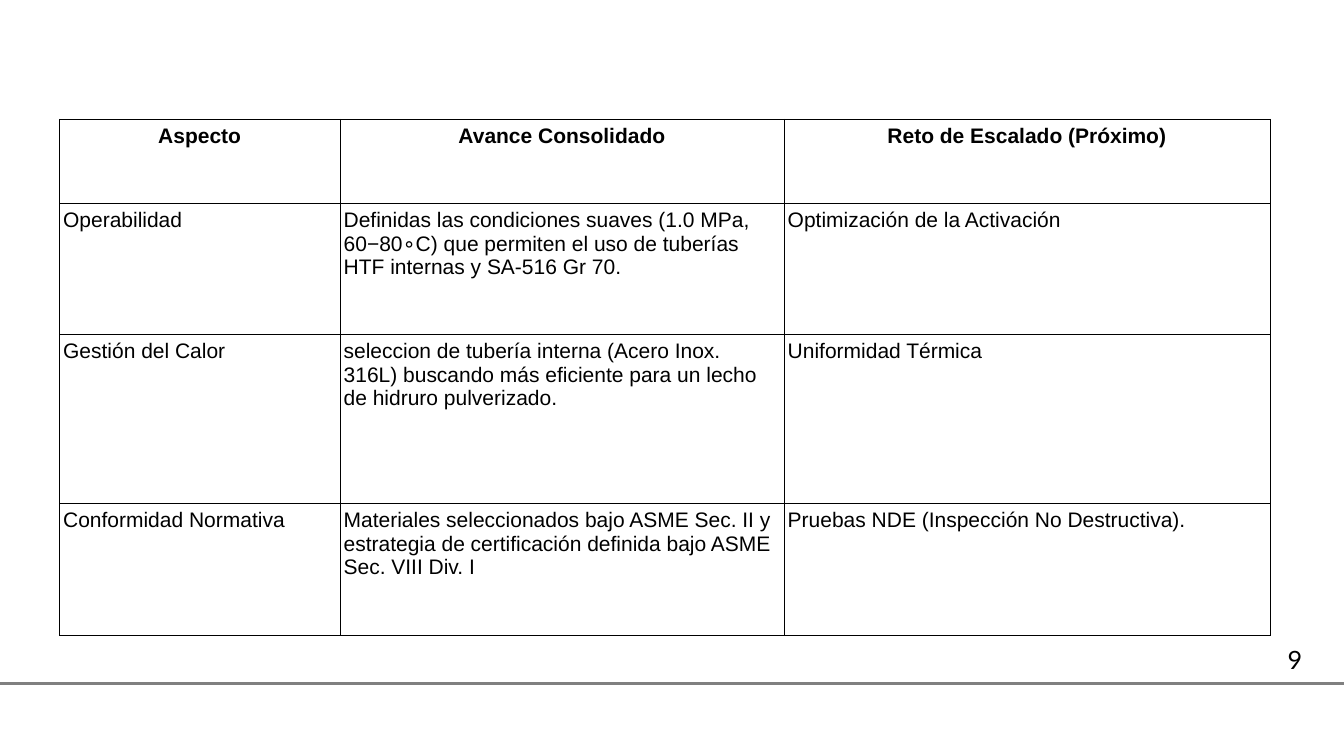
"""Build the slide comparing consolidated progress with scale-up challenges."""
from dataclasses import dataclass

from lxml import etree
from pptx import Presentation
from pptx.dml.color import RGBColor
from pptx.enum.shapes import MSO_CONNECTOR
from pptx.enum.text import MSO_ANCHOR, PP_ALIGN
from pptx.oxml.ns import qn
from pptx.util import Pt

STRAIGHT = MSO_CONNECTOR.STRAIGHT
TOP = MSO_ANCHOR.TOP
LEFT, CENTER = PP_ALIGN.LEFT, PP_ALIGN.CENTER
BLANK_LAYOUT = 6
SLIDE_W, SLIDE_H = 960, 540


@dataclass(frozen=True)
class Theme:
    text: str = "000000"
    border: str = "000000"
    rule: str = "808080"
    body_font: str = "Arial"
    number_font: str = "Lato"
    body_size: float = 15
    number_size: float = 18
    border_width: float = 0.57
    rule_width: float = 2


@dataclass(frozen=True)
class AspectRow:
    height: float
    aspect: str
    progress: str
    challenge: str
    header: bool = False


THEME = Theme()
COLUMN_WIDTHS = (200.4, 317.2, 347.1)
ROWS = (
    AspectRow(60.3, "Aspecto", "Avance Consolidado", "Reto de Escalado (Próximo)", True),
    AspectRow(
        93.6,
        "Operabilidad",
        "Definidas las condiciones suaves (1.0 MPa, 60−80∘C) que permiten el uso "
        "de tuberías HTF internas y SA-516 Gr 70.",
        "Optimización de la Activación",
    ),
    AspectRow(
        120.8,
        "Gestión del Calor",
        "seleccion de tubería interna (Acero Inox. 316L) buscando más eficiente "
        "para un lecho de hidruro pulverizado.",
        "Uniformidad Térmica",
    ),
    AspectRow(
        93.8,
        "Conformidad Normativa",
        "Materiales seleccionados bajo ASME Sec. II y estrategia de certificación "
        "definida bajo ASME Sec. VIII Div. I",
        "Pruebas NDE (Inspección No Destructiva).",
    ),
)


def write(tf, text: str, font: str, size: float, bold: bool = False,
          align: PP_ALIGN = LEFT, after: float = 0) -> None:
    p = tf.paragraphs[0]
    p.alignment = align
    p.space_after = Pt(after)
    r = p.add_run()
    r.text = text
    for name, value in {"name": font, "size": Pt(size), "bold": bold}.items():
        setattr(r.font, name, value)
    r.font.color.rgb = RGBColor.from_string(THEME.text)


def add_borders(cell) -> None:
    tc_pr = cell._tc.get_or_add_tcPr()
    for side in ("lnL", "lnR", "lnT", "lnB"):
        ln = etree.SubElement(tc_pr, qn(f"a:{side}"), w=str(Pt(THEME.border_width)))
        fill = etree.SubElement(ln, qn("a:solidFill"))
        etree.SubElement(fill, qn("a:srgbClr"), val=THEME.border)


def format_cell(cell, text: str, header: bool) -> None:
    margins = {"margin_left": Pt(2.7), "margin_right": Pt(2.7),
               "margin_top": Pt(3.6), "margin_bottom": Pt(3.6)}
    for name, value in {**margins, "vertical_anchor": TOP}.items():
        setattr(cell, name, value)
    add_borders(cell)
    cell.fill.background()
    write(cell.text_frame, text, THEME.body_font, THEME.body_size, header,
          CENTER if header else LEFT, 4.5 if header else 0)


def add_aspect_table(s, left: float, top: float) -> None:
    frame = s.shapes.add_table(
        len(ROWS), len(COLUMN_WIDTHS), Pt(left), Pt(top),
        Pt(sum(COLUMN_WIDTHS)), Pt(sum(row.height for row in ROWS)))
    table = frame.table
    table.first_row = table.horz_banding = False
    for column, width in zip(table.columns, COLUMN_WIDTHS):
        column.width = Pt(width)
    for table_row, row in zip(table.rows, ROWS):
        table_row.height = Pt(row.height)
        for cell, text in zip(table_row.cells, (row.aspect, row.progress, row.challenge)):
            format_cell(cell, text, row.header)


def add_footer_rule(s, y: float) -> None:
    rule = s.shapes.add_connector(STRAIGHT, Pt(0), Pt(y), Pt(SLIDE_W), Pt(y))
    rule.line.color.rgb = RGBColor.from_string(THEME.rule)
    rule.line.width = Pt(THEME.rule_width)
    etree.SubElement(rule._element.spPr, qn("a:effectLst"))


def add_slide_number(s, number: str) -> None:
    sp = s.shapes.add_textbox(Pt(912.6), Pt(457), Pt(47.4), Pt(31.5))
    sp.text_frame.word_wrap = True
    write(sp.text_frame, number, THEME.number_font, THEME.number_size)


def main() -> None:
    prs = Presentation()
    prs.slide_width, prs.slide_height = Pt(SLIDE_W), Pt(SLIDE_H)
    s = prs.slides.add_slide(prs.slide_layouts[BLANK_LAYOUT])
    add_footer_rule(s, 488.4)
    add_slide_number(s, "9")
    add_aspect_table(s, 42.4, 85.2)
    prs.save("out.pptx")


if __name__ == "__main__":
    main()
